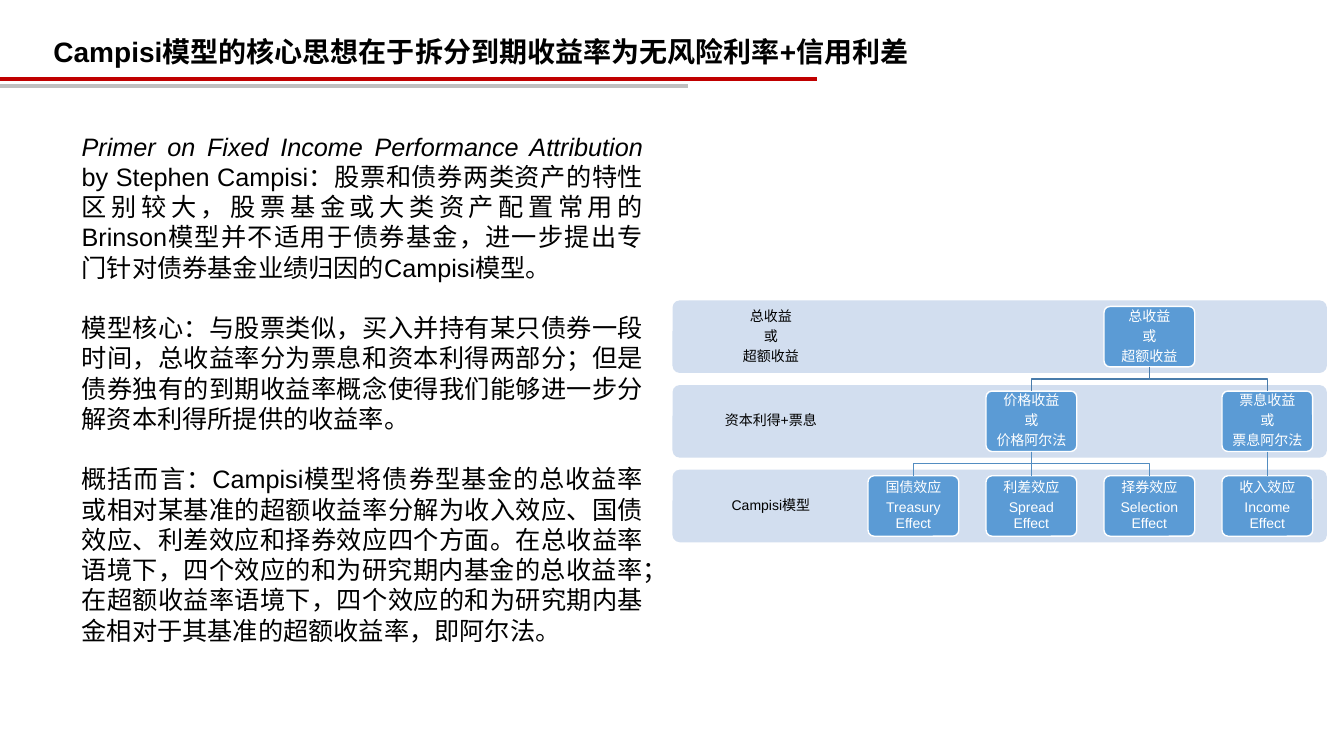
from dataclasses import dataclass

from lxml.etree import SubElement
from pptx import Presentation
from pptx.dml.color import RGBColor
from pptx.enum.shapes import MSO_CONNECTOR, MSO_SHAPE
from pptx.enum.text import MSO_ANCHOR, MSO_AUTO_SIZE, PP_ALIGN
from pptx.oxml.ns import qn
from pptx.util import Inches, Pt


@dataclass(frozen=True)
class Theme:
    font: str = "Arial"
    head: int = 20
    body: int = 18
    small: int = 10
    black: RGBColor = RGBColor(0, 0, 0)
    white: RGBColor = RGBColor(255, 255, 255)
    red: RGBColor = RGBColor(0xC0, 0, 0)
    gray: RGBColor = RGBColor(0xBF, 0xBF, 0xBF)
    band: RGBColor = RGBColor(0xD2, 0xDE, 0xEF)
    box: RGBColor = RGBColor(0x5B, 0x9B, 0xD5)
    links: tuple = (RGBColor(0x49, 0x7C, 0xAB), RGBColor(0x53, 0x8D, 0xC1))


theme = Theme()


def write(frame, text, size=theme.small, color=theme.black, bold=False,
          align=PP_ALIGN.CENTER, anchor=MSO_ANCHOR.MIDDLE, spacing=0.9,
          before=0, after=3.5, inset=None, lead=""):
    """Write one paragraph per line of text; lead is an italic opening."""
    frame.word_wrap = True
    frame.vertical_anchor = anchor
    if inset is not None:
        frame.margin_left = frame.margin_right = Inches(inset)
        frame.margin_top = frame.margin_bottom = Inches(inset)
    for i, line in enumerate(text.split("\n")):
        para = frame.add_paragraph() if i else frame.paragraphs[0]
        para.alignment, para.line_spacing = align, spacing
        para.space_before, para.space_after = Pt(before), Pt(after)
        parts = [(lead, True)] if lead and i == 0 else []
        for words, slant in parts + [(line, False)]:
            run = para.add_run()
            run.text = words
            font = run.font
            font.name, font.size = theme.font, Pt(size)
            font.bold, font.italic = bold, slant
            font.color.rgb = color


def draw_line(x1, y1, x2, y2, color, width):
    line = slide.shapes.add_connector(
        MSO_CONNECTOR.STRAIGHT, Inches(x1), Inches(y1), Inches(x2), Inches(y2))
    line.line.color.rgb = color
    line.line.width = Pt(width)
    SubElement(line._element.spPr, qn("a:effectLst"))
    return line


deck = Presentation()
deck.slide_width, deck.slide_height = Inches(13.33), Inches(7.5)
slide = deck.slides.add_slide(deck.slide_layouts[1])
title, body = slide.placeholders

# Title and rules
title.left, title.top = Inches(0.43), Inches(0.13)
title.width, title.height = Inches(12.22), Inches(0.54)
write(title.text_frame, "Campisi模型的核心思想在于拆分到期收益率为无风险利率+信用利差",
      size=theme.head, bold=True, align=PP_ALIGN.LEFT, anchor=MSO_ANCHOR.TOP,
      spacing=1.5, before=2, after=0)
draw_line(0, 0.78, 8.1, 0.78, theme.red, 3)
draw_line(0, 0.85, 6.82, 0.85, theme.gray, 3)

# Body
body.left, body.top = Inches(0.71), Inches(1.25)
body.width, body.height = Inches(5.77), Inches(5.25)
write(body.text_frame,
      "by Stephen Campisi：股票和债券两类资产的特性区别较大，股票基金或大类资产配置常用的"
      "Brinson模型并不适用于债券基金，进一步提出专门针对债券基金业绩归因的Campisi模型。\n"
      "模型核心：与股票类似，买入并持有某只债券一段时间，总收益率分为票息和资本利得两部分；"
      "但是债券独有的到期收益率概念使得我们能够进一步分解资本利得所提供的收益率。\n"
      "概括而言：Campisi模型将债券型基金的总收益率或相对某基准的超额收益率分解为收入效应、"
      "国债效应、利差效应和择券效应四个方面。在总收益率语境下，四个效应的和为研究期内基金的"
      "总收益率；在超额收益率语境下，四个效应的和为研究期内基金相对于其基准的超额收益率，"
      "即阿尔法。",
      size=theme.body, align=PP_ALIGN.JUSTIFY, anchor=MSO_ANCHOR.TOP,
      spacing=1, after=0,
      lead="Primer on Fixed Income Performance Attribution ")
for i, para in enumerate(body.text_frame.paragraphs):
    para.space_before = Pt(21.6 if i else 0)
    props = para._p.get_or_add_pPr()
    props.set("marL", "0")
    props.set("indent", "0")
    SubElement(props, qn("a:buNone"))
for holder in (title, body):
    holder.text_frame.auto_size = MSO_AUTO_SIZE.SHAPE_TO_FIT_TEXT

# Tree: bands, then boxes placed by column and row
STEP_X, STEP_Y = 1.17, 0.84
LEFT, TOP, WIDE, HIGH = 8.61, 3.04, 0.9, 0.6

labels = ["总收益\n或\n超额收益", "资本利得+票息", "Campisi模型"]
for row, label in enumerate(labels):
    spot = Inches(6.67), Inches(2.98 + row * STEP_Y)
    band = slide.shapes.add_shape(
        MSO_SHAPE.ROUNDED_RECTANGLE, *spot, Inches(6.49), Inches(0.72))
    band.adjustments[0] = 0.1
    band.shadow.inherit = False
    band.fill.solid()
    band.fill.fore_color.rgb = theme.band
    band.line.fill.background()
    note = slide.shapes.add_textbox(*spot, Inches(1.95), Inches(0.72))
    write(note.text_frame, label, inset=0.08)

nodes = {
    (2, 0): "总收益\n或\n超额收益",
    (1, 1): "价格收益\n或\n价格阿尔法",
    (3, 1): "票息收益\n或\n票息阿尔法",
    (0, 2): "国债效应\nTreasury Effect",
    (1, 2): "利差效应\nSpread Effect",
    (2, 2): "择券效应\nSelection Effect",
    (3, 2): "收入效应\nIncome Effect",
}
boxes = {}
for (col, row), text in nodes.items():
    box = slide.shapes.add_shape(
        MSO_SHAPE.ROUNDED_RECTANGLE, Inches(LEFT + col * STEP_X),
        Inches(TOP + row * STEP_Y), Inches(WIDE), Inches(HIGH))
    box.adjustments[0] = 0.1
    box.shadow.inherit = False
    box.fill.solid()
    box.fill.fore_color.rgb = theme.box
    box.line.color.rgb = theme.white
    box.line.width = Pt(1)
    write(box.text_frame, text, color=theme.white, inset=0.04)
    boxes[col, row] = box

# Links: straight below the parent, otherwise bent halfway
links = [(2, 0, 1), (2, 0, 3), (1, 1, 0), (1, 1, 1), (1, 1, 2), (3, 1, 3)]
for col, row, child in links:
    x1, x2 = (LEFT + WIDE / 2 + c * STEP_X for c in (col, child))
    y1 = TOP + HIGH + row * STEP_Y
    y2 = TOP + (row + 1) * STEP_Y
    color = theme.links[row]
    if col == child:
        link = draw_line(x1, y1, x2, y2, color, 1)
        link.begin_connect(boxes[col, row], 2)
        link.end_connect(boxes[child, row + 1], 0)
        continue
    mid = Inches((y1 + y2) / 2)
    path = slide.shapes.build_freeform(Inches(x1), Inches(y1))
    path.add_line_segments(
        [(Inches(x1), mid), (Inches(x2), mid), (Inches(x2), Inches(y2))],
        close=False)
    elbow = path.convert_to_shape()
    elbow.shadow.inherit = False
    elbow.fill.background()
    elbow.line.color.rgb = color
    elbow.line.width = Pt(1)

deck.save("out.pptx")
